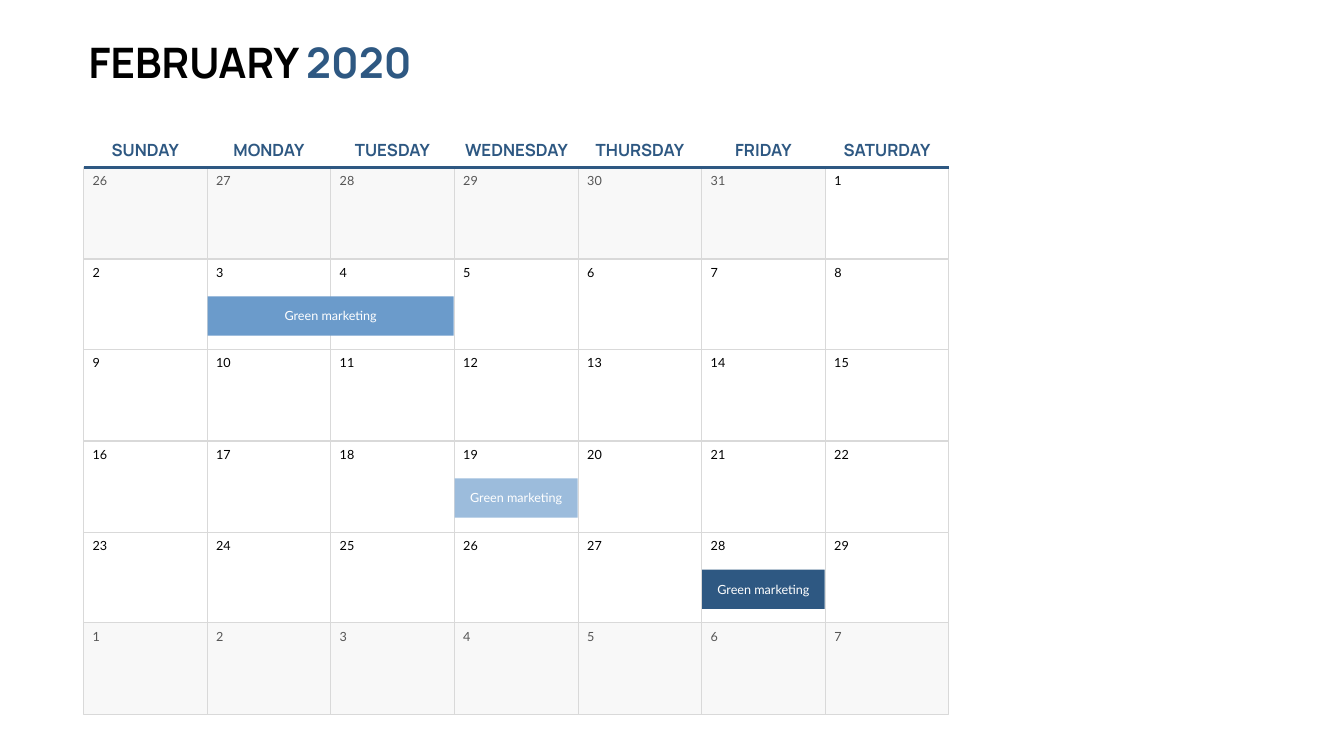
from itertools import chain

from lxml.etree import SubElement
from pptx import Presentation
from pptx.dml.color import RGBColor
from pptx.enum.shapes import MSO_CONNECTOR, MSO_SHAPE
from pptx.enum.text import MSO_ANCHOR as ANCHOR, MSO_AUTO_SIZE as AUTO, PP_ALIGN as ALIGN
from pptx.oxml.ns import qn
from pptx.util import Pt

PX = 9144  # EMU per px, 100 px to the inch
COLORS = {
    "white": "FFFFFF", "black": "000000", "grey": "565656", "border": "D9D9D9",
    "outside": "F2F2F2", "navy": "2E5882", "blue": "6B9BCB", "sky": "9CBCDC",
}
FORMATS = {
    "title": {"name": "Manrope", "size": Pt(60), "bold": True},
    "weekday": {"name": "Manrope", "size": Pt(24), "bold": True},
    "body": {"name": "Lato", "size": Pt(18), "bold": False},
}

LEFT, TOP, GRID_W, GRID_H = 166, 333, 1716, 1084
WEEKS = 6
WEEKDAYS = {
    "SUNDAY": 162, "MONDAY": 175, "TUESDAY": 175, "WEDNESDAY": 235,
    "THURSDAY": 203, "FRIDAY": 143, "SATURDAY": 203,
}  # label widths
DAYS = len(WEEKDAYS)
JANUARY_DAYS, FEBRUARY_DAYS = 6, 29
DATES = chain(range(26, 32), range(1, 30), range(1, 8))
EVENTS = [  # week, weekday, days, colour
    (1, 1, 2, "blue"),
    (3, 3, 1, "sky"),
    (4, 5, 1, "navy"),
]


def rgb(color):
    return RGBColor.from_string(COLORS[color])


def col_x(col):
    return LEFT + round(col * GRID_W / DAYS)


def row_y(row):
    return TOP + round(row * GRID_H / WEEKS)


class CalendarSlide:
    def __init__(self, prs):
        self.s = prs.slides.add_slide(prs.slide_layouts[6])

    def text(self, x, y, w, h, runs, style, align=ALIGN.LEFT, anchor=ANCHOR.MIDDLE,
             wrap=False, parent=None):
        """Add a text box; runs is a list of (text, colour) pairs."""
        box = (parent or self.s).shapes.add_textbox(x * PX, y * PX, w * PX, h * PX)
        tf = box.text_frame
        frame = {"word_wrap": wrap, "auto_size": AUTO.SHAPE_TO_FIT_TEXT,
                 "vertical_anchor": anchor}
        for key, value in frame.items():
            setattr(tf, key, value)
        p = tf.paragraphs[0]
        p.alignment = align
        for content, color in runs:
            r = p.add_run()
            r.text = content
            for key, value in FORMATS[style].items():
                setattr(r.font, key, value)
            r.font.color.rgb = rgb(color)

    def rect(self, x, y, w, h, fill, border=None, alpha=None, parent=None):
        sp = (parent or self.s).shapes.add_shape(
            MSO_SHAPE.RECTANGLE, x * PX, y * PX, w * PX, h * PX)
        sp.shadow.inherit = False
        sp.fill.solid()
        sp.fill.fore_color.rgb = rgb(fill)
        if alpha:
            clr = sp.fill._xPr.find(qn("a:solidFill"))[0]
            SubElement(clr, qn("a:alpha"), val=str(alpha * 1000))
        if border:
            sp.line.color.rgb = rgb(border)
            sp.line.width = Pt(1.5)
        else:
            sp.line.fill.background()

    def rule(self, x1, y1, x2, y2, color, width):
        line = self.s.shapes.add_connector(
            MSO_CONNECTOR.STRAIGHT, x1 * PX, y1 * PX, x2 * PX, y2 * PX)
        line.line.color.rgb = rgb(color)
        line.line.width = Pt(width)
        SubElement(line._element.spPr, qn("a:effectLst"))

    def day(self, row, col, date, in_month):
        x, y = col_x(col), row_y(row)
        fill, alpha, color = ("white", None, "black") if in_month else ("outside", 50, "grey")
        self.rect(x, y, col_x(col + 1) - x, row_y(row + 1) - y, fill, "border", alpha)
        label = str(date)
        self.text(x + 8, y + 6, 20 + 15 * len(label), 40, [(label, color)], "body")

    def event(self, row, col, days, color, label):
        x, y = col_x(col) + 1, row_y(row) + 74
        w = col_x(col + days) - x - 1
        pad = 8 + 8 * days
        group = self.s.shapes.add_group_shape()
        self.rect(x, y, w, 78, color, parent=group)
        self.text(x + pad, y + 19, w - 2 * pad, 40, [(label, "white")], "body",
                  ALIGN.CENTER, ANCHOR.TOP, wrap=True, parent=group)


def main():
    prs = Presentation()
    prs.slide_width, prs.slide_height = 2666 * PX, 1500 * PX
    cal = CalendarSlide(prs)

    cal.text(LEFT, 67, 678, 111, [("FEBRUARY ", "black"), ("2020", "navy")], "title",
             anchor=ANCHOR.TOP)
    for i, date in enumerate(DATES):
        in_month = JANUARY_DAYS <= i < JANUARY_DAYS + FEBRUARY_DAYS
        cal.day(*divmod(i, DAYS), date, in_month)
    for col, (name, w) in enumerate(WEEKDAYS.items()):
        center = (col_x(col) + col_x(col + 1)) // 2
        cal.text(center - w // 2, 272, w, 50, [(name, "navy")], "weekday", ALIGN.CENTER)
    cal.rule(LEFT, TOP, LEFT + GRID_W, TOP, "navy", 4.5)
    for event in EVENTS:
        cal.event(*event, "Green marketing")

    prs.save("out.pptx")


if __name__ == "__main__":
    main()
